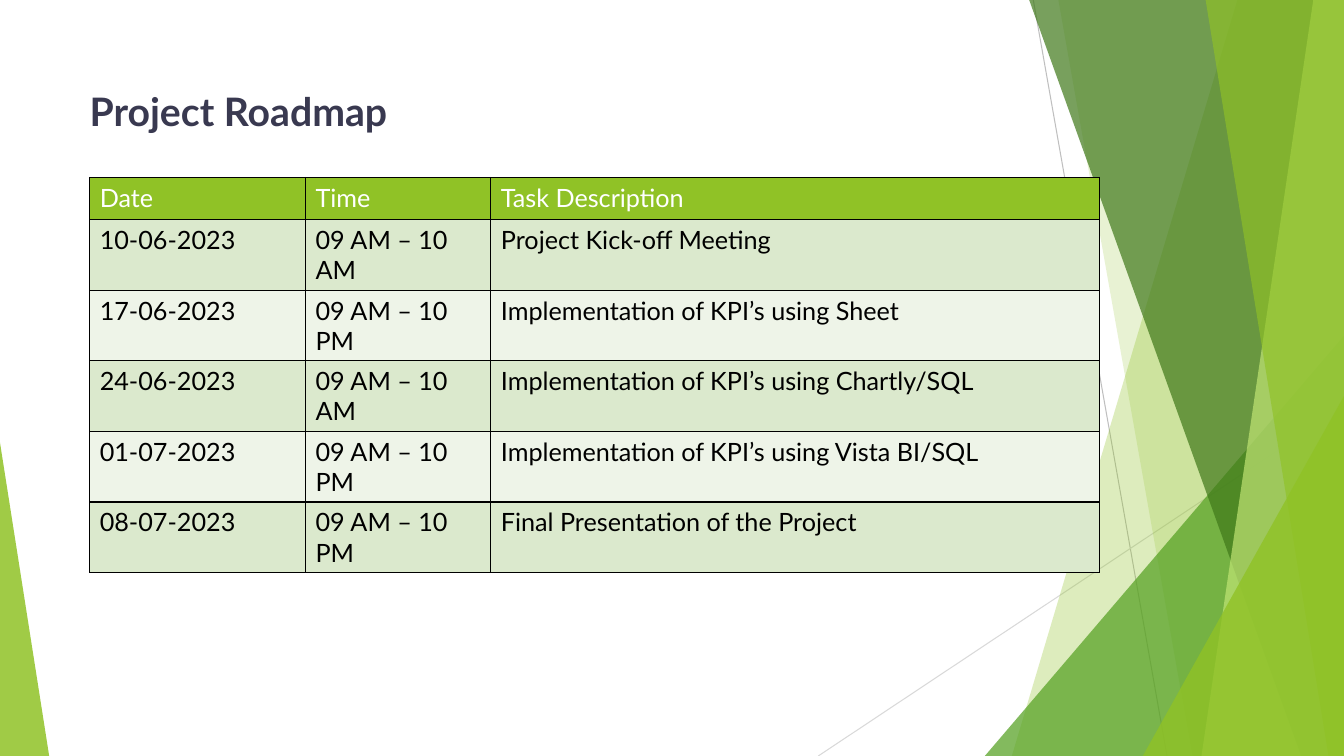
from lxml.etree import SubElement
from pptx import Presentation
from pptx.dml.color import RGBColor
from pptx.enum.shapes import MSO_CONNECTOR, MSO_SHAPE
from pptx.enum.text import MSO_ANCHOR
from pptx.oxml.ns import qn
from pptx.util import Cm, Pt

FONT = "Lato"
COLORS = {
    "lime": "90C226", "green": "54A021", "forest": "3F7819", "pale": "C0E474",
    "band_dark": "DBE9CD", "band_light": "EEF4E8", "title": "393950",
    "black": "000000", "white": "FFFFFF", "gray": "BFBFBF", "light_gray": "D9D9D9",
}
WIDTH, HEIGHT = 33.87, 19.05
TITLE = "Project Roadmap"
ROADMAP = [
    ("Date", "Time", "Task Description"),
    ("10-06-2023", "09 AM – 10 AM", "Project Kick-off Meeting"),
    ("17-06-2023", "09 AM – 10 PM", "Implementation of KPI’s using Sheet"),
    ("24-06-2023", "09 AM – 10 AM", "Implementation of KPI’s using Chartly/SQL"),
    ("01-07-2023", "09 AM – 10 PM", "Implementation of KPI’s using Vista BI/SQL"),
    ("08-07-2023", "09 AM – 10 PM", "Final Presentation of the Project"),
]
COLUMN_WIDTHS = (5.44, 4.67, 15.34)
HEADER_HEIGHT, ROW_HEIGHT = 1.06, 1.78
LEFT, TABLE_TOP = 2.26, 4.47
RAYS = [
    ((26.04, 0), (29.41, HEIGHT), "gray"),
    ((WIDTH, 10.24), (20.62, HEIGHT), "light_gray"),
]
FACETS = [
    ("band", (31.19, 25.5), "lime", 30),
    ("band", (26.67, 30.05), "lime", 20),
    ("triangle", (24.82, 8.46, WIDTH, 1), "green", 72),
    ("band", (25.93, 32.79), "forest", 70),
    ("band", (33.1, 30.28), "pale", 70),
    ("band", (30.38, 33.48), "lime", 65),
    ("triangle", (28.8, 9.98, WIDTH, 1), "lime", 80),
    ("triangle", (0, 11.15, 1.24, 0), "lime", 85),
]


def color(name):
    """Return the named palette colour."""
    return RGBColor.from_string(COLORS[name])


def add_ray(slide, start, end, tint):
    """Draw one thin background line."""
    ray = slide.shapes.add_connector(
        MSO_CONNECTOR.STRAIGHT, *(Cm(value) for value in start + end))
    ray.line.color.rgb = color(tint)
    ray.line.width = Pt(0.75)
    SubElement(ray._element.spPr, qn("a:effectLst"))


def add_band(slide, top_x, bottom_x):
    """Outline a full-height band that reaches the right edge."""
    corners = [(top_x, -0.02), (WIDTH, -0.02), (WIDTH, HEIGHT), (bottom_x, HEIGHT)]
    points = [(Cm(x), Cm(y)) for x, y in corners]
    builder = slide.shapes.build_freeform(*points[0])
    builder.add_line_segments(points[1:], close=True)
    return builder.convert_to_shape()


def add_triangle(slide, left, top, right, apex):
    """Add a triangle that stands on the bottom edge."""
    triangle = slide.shapes.add_shape(
        MSO_SHAPE.ISOSCELES_TRIANGLE, Cm(left), Cm(top), Cm(right - left), Cm(HEIGHT - top))
    triangle.adjustments[0] = apex
    return triangle


def paint(shape, tint, opacity):
    """Give a facet its translucent fill."""
    shape.shadow.inherit = False
    shape.line.fill.background()
    shape.fill.solid()
    shape.fill.fore_color.rgb = color(tint)
    tone = shape._element.spPr.find(qn("a:solidFill"))[0]
    SubElement(tone, qn("a:alpha"), val=str(opacity * 1000))


def style_text(text_frame, size, tint, bold=False):
    """Format the runs of a text frame."""
    for para in text_frame.paragraphs:
        for span in para.runs:
            span.font.name = FONT
            span.font.size = Pt(size)
            span.font.bold = bold
            span.font.color.rgb = color(tint)


def add_borders(cell):
    """Put a thin black line on each side of a cell."""
    properties = cell._tc.get_or_add_tcPr()
    for side in ("lnL", "lnR", "lnT", "lnB"):
        line = SubElement(properties, qn(f"a:{side}"), w=str(Pt(1)))
        fill = SubElement(line, qn("a:solidFill"))
        SubElement(fill, qn("a:srgbClr"), val=COLORS["black"])


def add_title(slide):
    """Add the slide heading."""
    box = slide.shapes.add_textbox(Cm(LEFT), Cm(2.08), Cm(14.5), Cm(1.45))
    frame = box.text_frame
    frame.word_wrap = True
    frame.margin_left = 0
    frame.vertical_anchor = MSO_ANCHOR.MIDDLE
    frame.text = TITLE
    style_text(frame, 28, "title", bold=True)


def add_roadmap(slide):
    """Add the schedule table."""
    heights = [HEADER_HEIGHT] + [ROW_HEIGHT] * (len(ROADMAP) - 1)
    table = slide.shapes.add_table(
        len(ROADMAP), len(COLUMN_WIDTHS), Cm(LEFT), Cm(TABLE_TOP),
        Cm(sum(COLUMN_WIDTHS)), Cm(sum(heights))).table
    for column, width in zip(table.columns, COLUMN_WIDTHS):
        column.width = Cm(width)
    for index, (row, height, texts) in enumerate(zip(table.rows, heights, ROADMAP)):
        row.height = Cm(height)
        band = "band_dark" if index % 2 else "band_light"
        for cell, text in zip(row.cells, texts):
            add_borders(cell)
            cell.fill.solid()
            cell.fill.fore_color.rgb = color(band if index else "lime")
            cell.text_frame.text = text
            style_text(cell.text_frame, 18, "black" if index else "white")


def main():
    """Build the roadmap slide and save it."""
    deck = Presentation()
    deck.slide_width, deck.slide_height = Cm(WIDTH), Cm(HEIGHT)
    slide = deck.slides.add_slide(deck.slide_layouts[6])
    for ray in RAYS:
        add_ray(slide, *ray)
    makers = {"band": add_band, "triangle": add_triangle}
    for kind, geometry, tint, opacity in FACETS:
        paint(makers[kind](slide, *geometry), tint, opacity)
    add_roadmap(slide)
    add_title(slide)
    deck.save("out.pptx")


if __name__ == "__main__":
    main()
